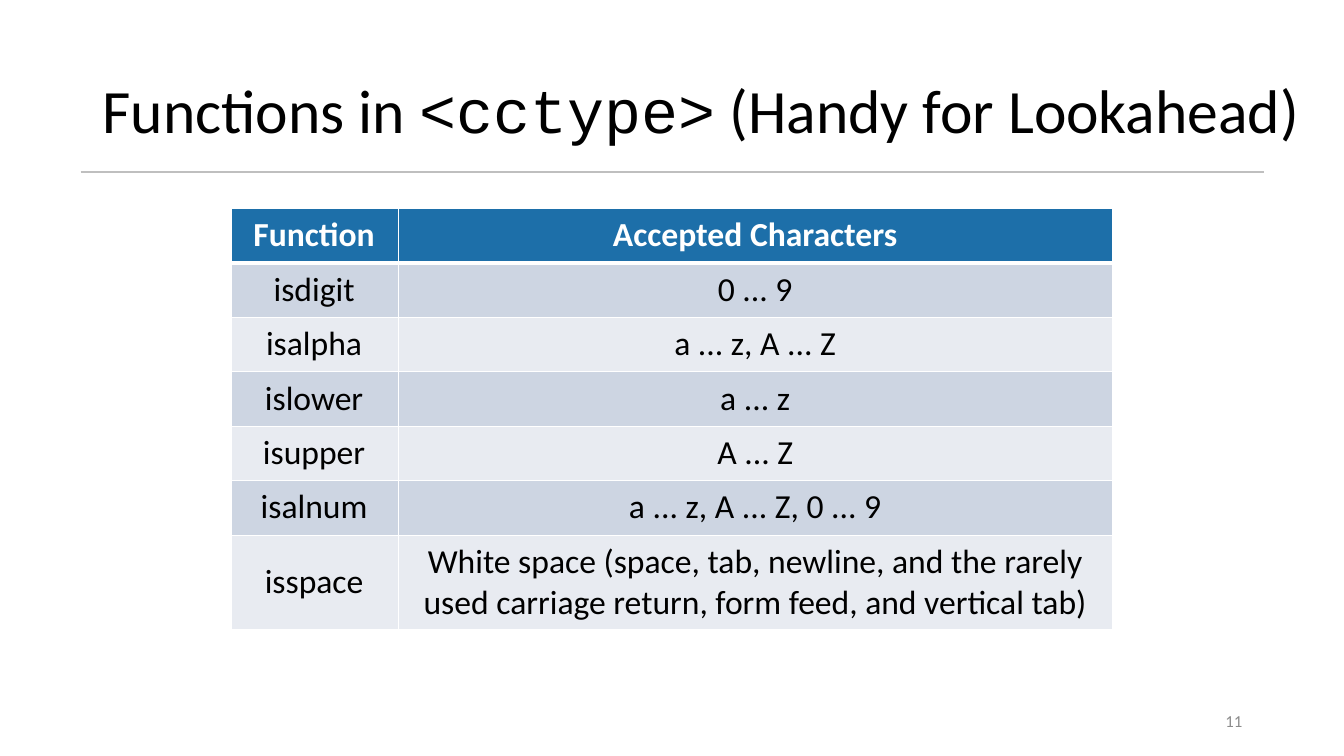
"""Build a slide that lists the character test functions."""
import pptx
import pptx.util
import pptx.dml.color
import pptx.enum.shapes
import pptx.enum.text
import pptx.oxml.ns
import lxml.etree
from dataclasses import dataclass

Inches = pptx.util.Inches
Pt = pptx.util.Pt
Align = pptx.enum.text.PP_ALIGN
Anchor = pptx.enum.text.MSO_ANCHOR


@dataclass(frozen=True)
class Theme:
    """Colours, fonts and type sizes."""
    ink: str = "000000"
    white: str = "FFFFFF"
    gray: str = "8C8C8C"
    rule: str = "BFBFBF"
    head: str = "1D6FA9"
    bands: tuple = ("CDD5E2", "E8EBF1")
    sans: str = "Calibri"
    mono: str = "Courier New"
    title: int = 44
    body: int = 24
    small: int = 12


def color(code):
    """Turn a hex code into a colour."""
    return pptx.dml.color.RGBColor.from_string(code)


def assign(item, values):
    """Set each attribute named in a dict."""
    for name, value in values.items():
        setattr(item, name, value)


def child(node, tag, **values):
    """Add a drawing element to a node."""
    return lxml.etree.SubElement(node, pptx.oxml.ns.qn(tag), values)


class Page:
    """Draws styled elements on one slide."""

    def __init__(self, slide, theme):
        """Keep the slide and its theme."""
        self.slide = slide
        self.theme = theme

    def words(self, para, runs, size, ink, bold=False, **form):
        """Fill a paragraph with (text, font) runs."""
        assign(para, form)
        for text, face in runs:
            run = para.add_run()
            run.text = text
            assign(run.font, {"name": face, "size": Pt(size), "bold": bold})
            run.font.color.rgb = color(ink)

    def label(self, box, runs, size, ink, **form):
        """Add a text box with its text in the middle."""
        frame = self.slide.shapes.add_textbox(*map(Inches, box)).text_frame
        assign(frame, {"word_wrap": True, "vertical_anchor": Anchor.MIDDLE})
        self.words(frame.paragraphs[0], runs, size, ink, **form)

    def line(self, start, end, ink, width):
        """Add a straight line."""
        kind = pptx.enum.shapes.MSO_CONNECTOR.STRAIGHT
        line = self.slide.shapes.add_connector(kind, *map(Inches, start + end))
        line.line.color.rgb = color(ink)
        line.line.width = Pt(width)
        child(line._element.spPr, "a:effectLst")

    def edge(self, cell, top, bottom):
        """Draw the white borders of a cell."""
        props = cell._tc.get_or_add_tcPr()
        widths = {"L": 1, "R": 1, "T": top, "B": bottom}
        for place, (side, width) in enumerate(widths.items()):
            line = child(props, f"a:ln{side}", w=str(Pt(width)))
            child(child(line, "a:solidFill"), "a:srgbClr", val=self.theme.white)
            props.insert(place, line)

    def cell(self, cell, text, row):
        """Style and fill one table cell."""
        look = self.theme
        head = row == 0
        assign(cell, {
            "vertical_anchor": Anchor.MIDDLE,
            "margin_left": Inches(0.06), "margin_top": Inches(0.06),
            "margin_right": Inches(0.07), "margin_bottom": Inches(0.07),
        })
        cell.fill.solid()
        cell.fill.fore_color.rgb = color(look.head if head else look.bands[(row - 1) % 2])
        self.words(cell.text_frame.paragraphs[0], [(text, look.sans)], look.body,
                   look.white if head else look.ink, head, alignment=Align.CENTER)
        self.edge(cell, 3 if row == 1 else 1, 3 if head else 1)

    def table(self, spot, rows, widths, heights):
        """Add a banded table with a header row."""
        size = (sum(widths), sum(heights))
        table = self.slide.shapes.add_table(
            len(rows), len(widths), *map(Inches, spot + size)).table
        for column, width in zip(table.columns, widths):
            column.width = Inches(width)
        for row, height in zip(table.rows, heights):
            row.height = Inches(height)
        for at, row in enumerate(rows):
            for col, text in enumerate(row):
                self.cell(table.cell(at, col), text, at)


ROWS = [
    ("Function", "Accepted Characters"),
    ("isdigit", "0 ... 9"),
    ("isalpha", "a ... z, A ... Z"),
    ("islower", "a ... z"),
    ("isupper", "A ... Z"),
    ("isalnum", "a ... z, A ... Z, 0 ... 9"),
    ("isspace", "White space (space, tab, newline, and the rarely used "
                "carriage return, form feed, and vertical tab)"),
]


def main():
    """Build and save the deck."""
    deck = pptx.Presentation()
    assign(deck, {"slide_width": Inches(13.33), "slide_height": Inches(7.5)})
    look = Theme()
    page = Page(deck.slides.add_slide(deck.slide_layouts[6]), look)
    page.line((0.8, 1.71), (12.54, 1.71), look.rule, 1.5)
    title = [("Functions in ", look.sans), ("<cctype>", look.mono),
             (" (Handy for Lookahead)", look.sans)]
    page.label((0.92, 0.4, 12.25, 1.45), title, look.title, look.ink, line_spacing=0.9)
    page.label((9.42, 6.95, 3, 0.4), [("11", look.sans)], look.small, look.gray,
               alignment=Align.RIGHT)
    page.table((2.29, 2.07), ROWS, (1.66, 7.09), [0.54] * 6 + [0.94])
    deck.save("out.pptx")


if __name__ == "__main__":
    main()
